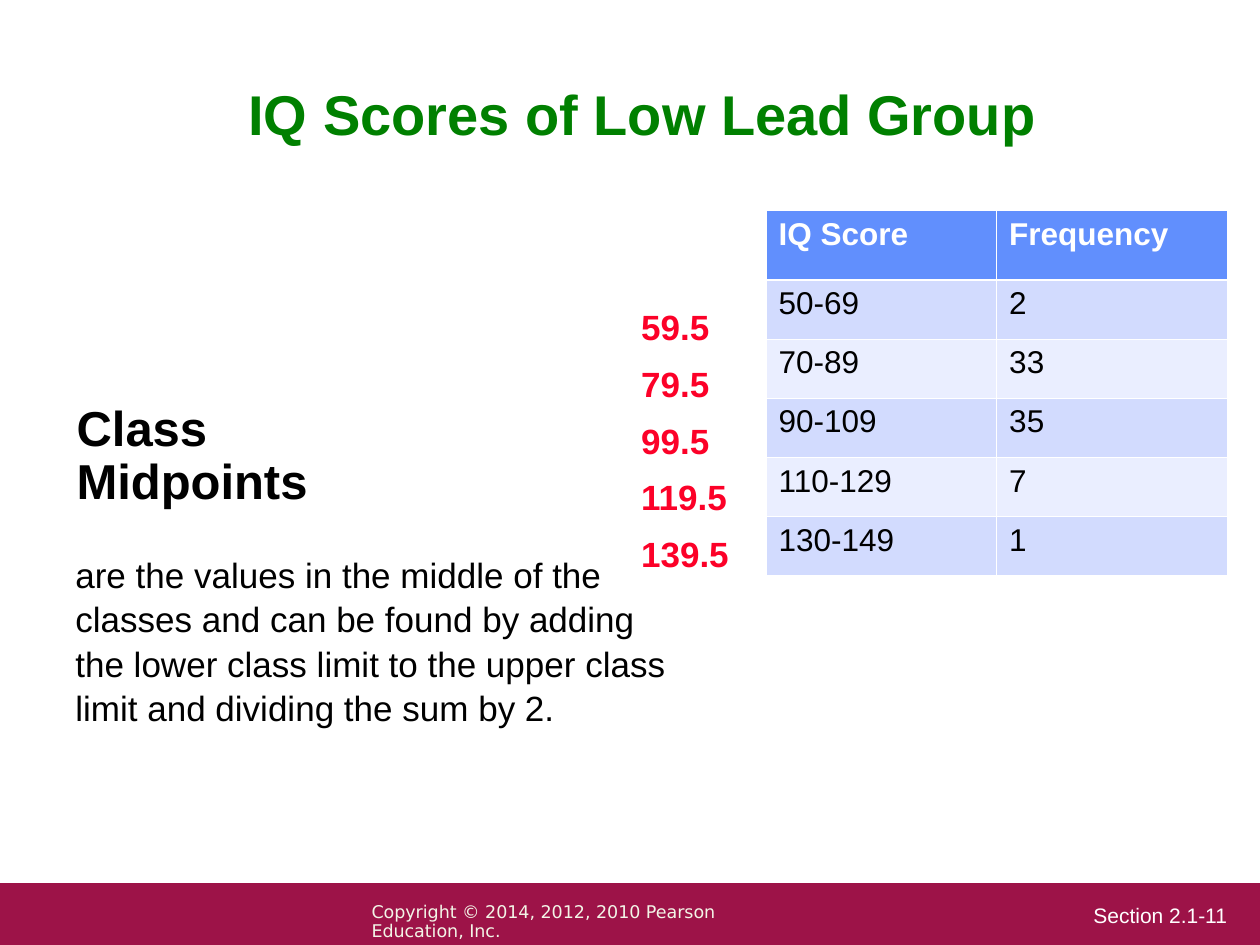
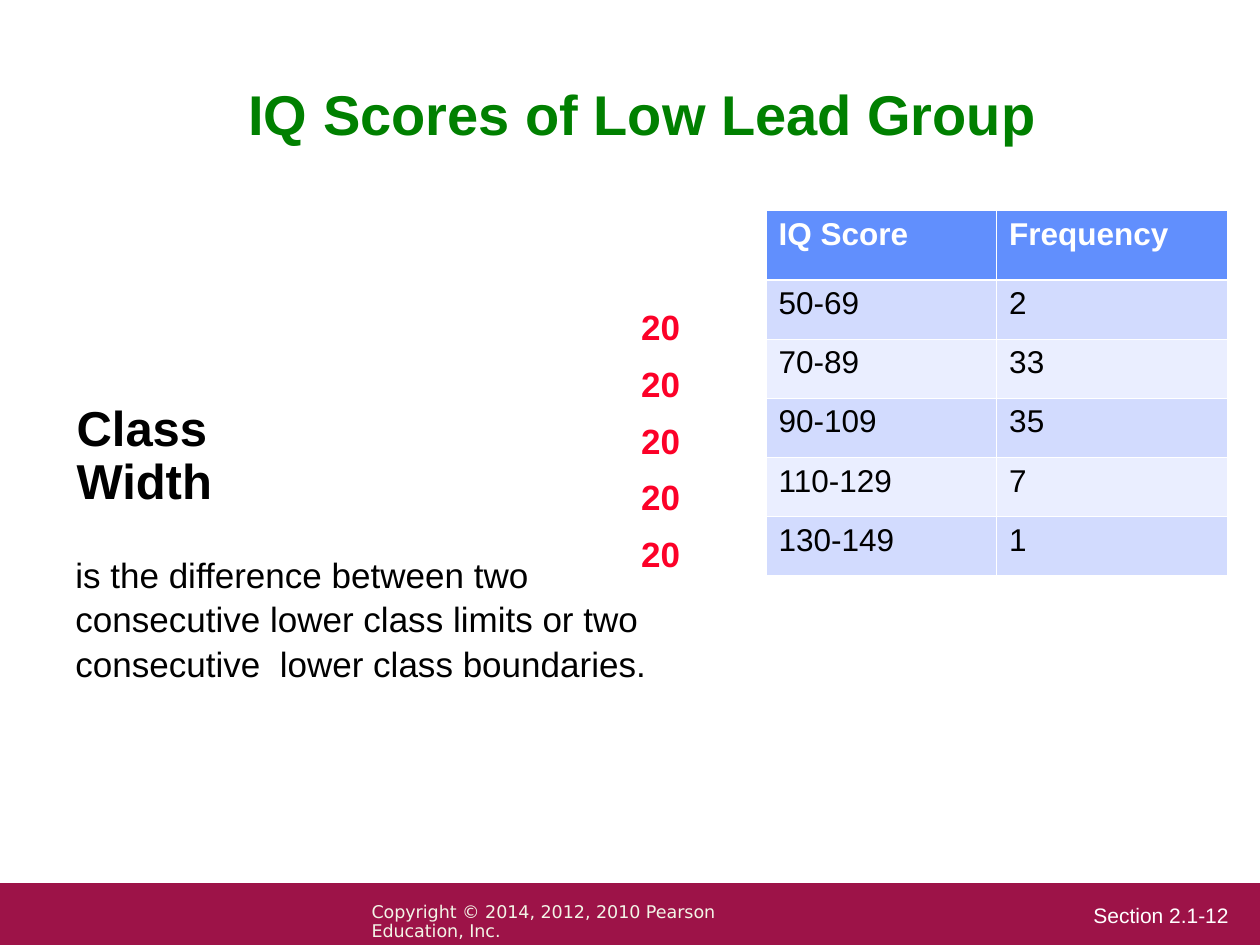
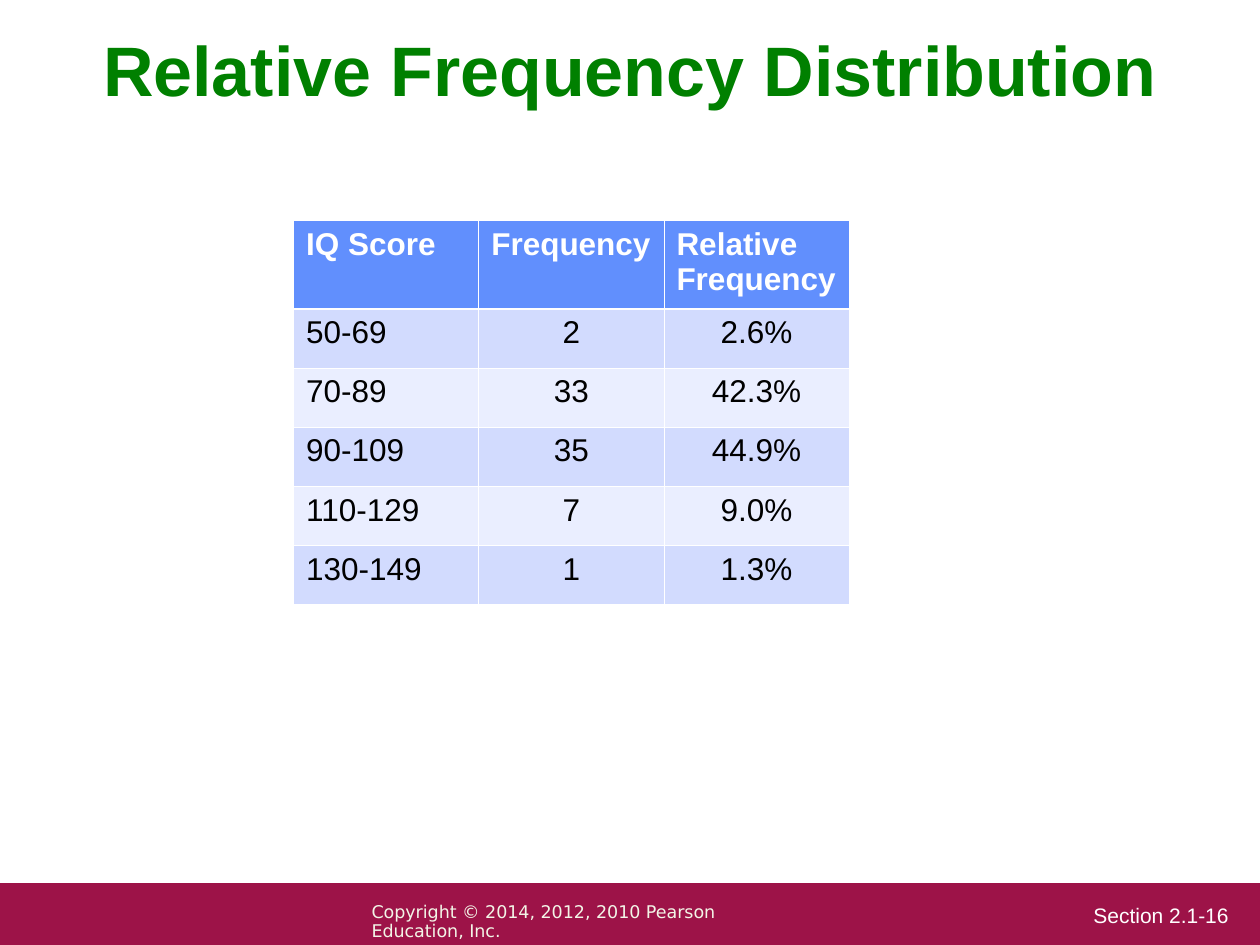
from lxml import etree
from pptx import Presentation
from pptx import util as u
from pptx.dml import color
from pptx.enum import shapes, text
from pptx.oxml import ns

GREEN, RED, MAROON = "008000", "FC0128", "9D1348"
BLACK, WHITE, CREAM = "000000", "FFFFFF", "F3F5E7"
HEADER, BANDS = "618FFD", ("D2DBFE", "EAEEFF")
ROW_HEIGHT = 0.47
THIN, THICK = 0.45, 1.47
SCORES = ["50-69", "70-89", "90-109", "110-129", "130-149"]
COUNTS = ["2", "33", "35", "7", "1"]
SHARES = ["2.6%", "42.3%", "44.9%", "9.0%", "1.3%"]


def rgb(value):
    """Turn a hex string into a colour."""
    return color.RGBColor.from_string(value)


def write(frame, content, size=18, font="Arial", ink=BLACK, bold=False,
          align=text.PP_ALIGN.LEFT, spacing=1.0, after=0):
    """Fill a text frame with one paragraph for each line of content."""
    for index, line in enumerate(content.split("\n")):
        paragraph = frame.paragraphs[0] if index == 0 else frame.add_paragraph()
        paragraph.alignment = align
        paragraph.line_spacing = spacing
        paragraph.space_after = u.Pt(after)
        run = paragraph.add_run()
        run.text = line
        run.font.name, run.font.size, run.font.bold = font, u.Pt(size), bold
        run.font.color.rgb = rgb(ink)


def set_borders(cell, top, bottom):
    """Draw white borders around a cell, with the given widths in points."""
    properties = cell._tc.get_or_add_tcPr()
    widths = {"a:lnL": THIN, "a:lnR": THIN, "a:lnT": top, "a:lnB": bottom}
    for place, (tag, width) in enumerate(widths.items()):
        border = etree.Element(ns.qn(tag), w=str(int(u.Pt(width))))
        fill = etree.SubElement(border, ns.qn("a:solidFill"))
        etree.SubElement(fill, ns.qn("a:srgbClr"), val=WHITE)
        properties.insert(place, border)


class Deck:
    """Hold the presentation, its style and the current slide."""

    def __init__(self):
        """Start a deck of 10 by 7.5 inch slides."""
        self.show = Presentation()
        self.show.slide_width, self.show.slide_height = u.Inches(10), u.Inches(7.5)
        self.slide = None

    def start(self, section):
        """Add a slide with its footer band."""
        self.slide = self.show.slides.add_slide(self.show.slide_layouts[6])
        self.band(0, 7.01, 10, 0.5, MAROON)
        self.label(f"Section {section}", 8.58, 7.14, 1.4, 0.26,
                   size=12, ink=WHITE, spacing=0.9)
        self.label("Copyright © 2014, 2012, 2010 Pearson Education, Inc.",
                   2.85, 7.12, 3.68, 0.25,
                   size=10, font="DejaVu Sans", ink=CREAM, spacing=0.9)

    def band(self, left, top, width, height, fill):
        """Add a plain filled rectangle."""
        band = self.slide.shapes.add_shape(
            shapes.MSO_SHAPE.RECTANGLE, *map(u.Inches, (left, top, width, height)))
        band.shadow.inherit = False
        band.fill.solid()
        band.fill.fore_color.rgb = rgb(fill)
        band.line.fill.background()

    def label(self, content, left, top, width, height,
              anchor=text.MSO_ANCHOR.TOP, **style):
        """Add a wrapped text box."""
        frame = self.slide.shapes.add_textbox(
            *map(u.Inches, (left, top, width, height))).text_frame
        frame.word_wrap = True
        frame.vertical_anchor = anchor
        write(frame, content, **style)

    def title(self, content, left, top, width, height, size, **style):
        """Add a green slide title."""
        self.label(content, left, top, width, height, size=size, ink=GREEN,
                   bold=True, spacing=0.9, **style)

    def table(self, columns, left, top, column_width, header_height,
              align=text.PP_ALIGN.LEFT):
        """Add a banded table from a dict of headings and column values."""
        rows = [list(columns), *zip(*columns.values())]
        heights = [header_height] + [ROW_HEIGHT] * (len(rows) - 1)
        table = self.slide.shapes.add_table(
            len(rows), len(columns), u.Inches(left), u.Inches(top),
            u.Inches(column_width * len(columns)), u.Inches(sum(heights))).table
        for column in table.columns:
            column.width = u.Inches(column_width)
        for r, (values, height) in enumerate(zip(rows, heights)):
            table.rows[r].height = u.Inches(height)
            heading = r == 0
            for c, value in enumerate(values):
                cell = table.cell(r, c)
                cell.fill.solid()
                cell.fill.fore_color.rgb = rgb(HEADER if heading else BANDS[(r - 1) % 2])
                set_borders(cell, THICK if r == 1 else THIN, THICK if heading else THIN)
                write(cell.text_frame, value, bold=heading,
                      ink=WHITE if heading else BLACK,
                      align=text.PP_ALIGN.LEFT if heading or c == 0 else align)

    def concept(self, section, term, meaning, values):
        """Add a slide that defines a term beside the frequency table."""
        self.start(section)
        self.table({"IQ Score": SCORES, "Frequency": COUNTS}, 6.08, 1.67, 1.83, 0.55)
        self.title("IQ Scores of Low Lead Group", 0.4, 0.23, 9.4, 1.4, 32,
                   anchor=text.MSO_ANCHOR.MIDDLE, align=text.PP_ALIGN.CENTER)
        self.label(term, 0.51, 3.16, 2.1, 0.94, size=28, bold=True, spacing=0.9)
        self.label(meaning, 0.5, 4.33, 5, 1.5, size=20, spacing=1.05, after=12.5)
        self.label("\n".join(values), 4.99, 2.26, 1.26, 2.35,
                   size=20, ink=RED, bold=True, spacing=1.35)


def main():
    """Build the three slides."""
    deck = Deck()
    deck.concept("2.1-11", "Class\nMidpoints",
                 "are the values in the middle of the classes and can be found by "
                 "adding the lower class limit to the upper class limit and "
                 "dividing the sum by 2.",
                 ["59.5", "79.5", "99.5", "119.5", "139.5"])
    deck.concept("2.1-12", "Class\nWidth",
                 "is the difference between two consecutive lower class limits or "
                 "two consecutive  lower class boundaries.",
                 ["20"] * len(SCORES))
    deck.start("2.1-16")
    deck.title("Relative Frequency Distribution", 0.72, 0.24, 8.6, 0.7, 40)
    deck.table({"IQ Score": SCORES, "Frequency": COUNTS, "Relative Frequency": SHARES},
               2.33, 1.75, 1.47, 0.7, align=text.PP_ALIGN.CENTER)
    deck.show.save("out.pptx")


if __name__ == "__main__":
    main()
